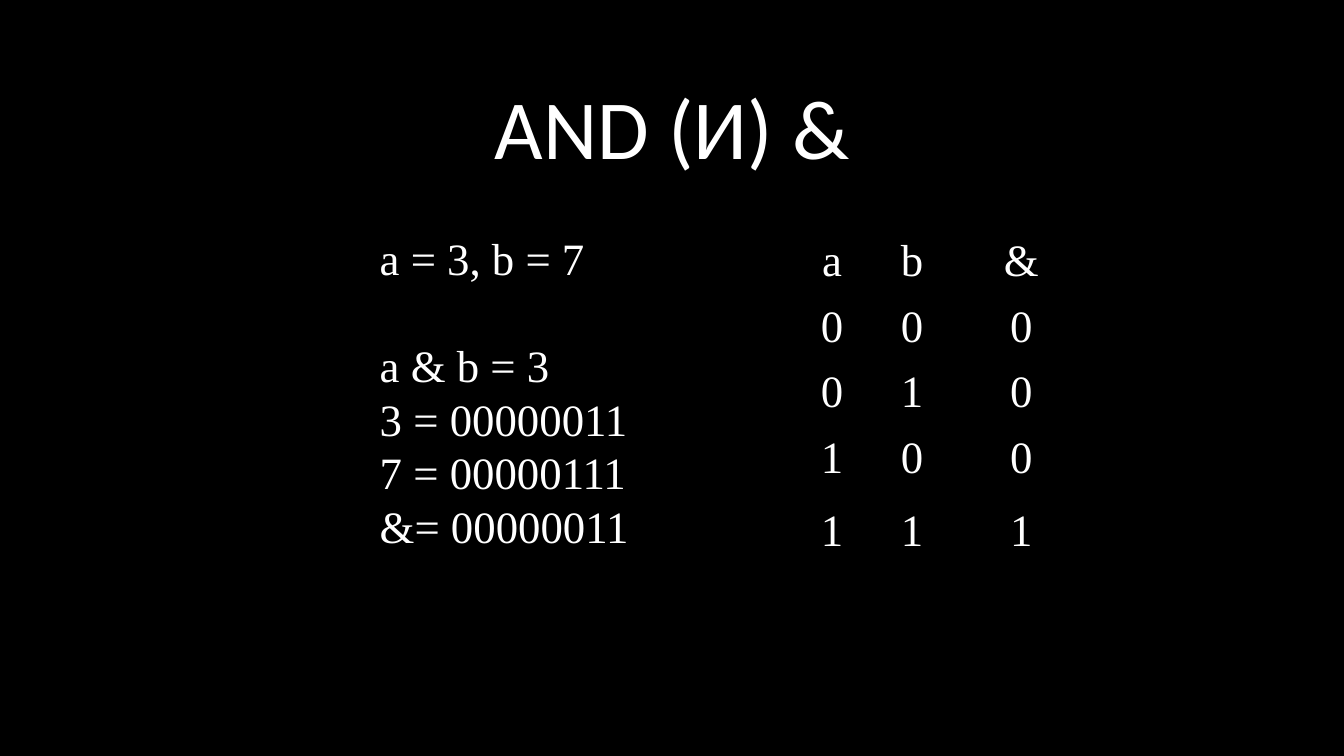
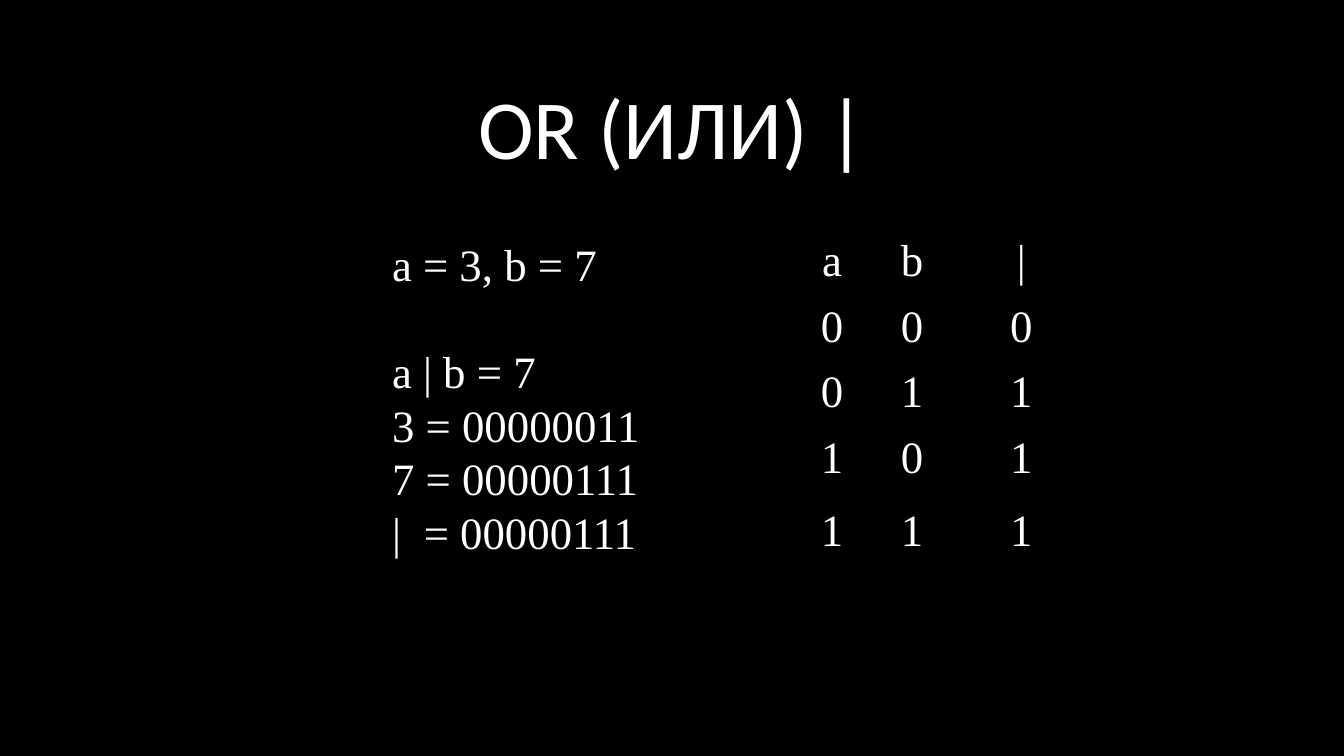
from dataclasses import dataclass

from lxml.etree import SubElement
from pptx import Presentation
from pptx.dml.color import RGBColor
from pptx.enum.text import MSO_ANCHOR, MSO_AUTO_SIZE, PP_ALIGN
from pptx.oxml import parse_xml
from pptx.oxml.ns import nsdecls, qn
from pptx.util import Cm, Pt

OPERATIONS = [
    {
        "title": "AND (И) &",
        "values": "a = 3, b = 7",
        "working": ["a & b = 3", "3 = 00000011", "7 = 00000111", "&= 00000011"],
        "example_box": (9.32, 5.69, 7.14, 8.46),
        "truth": ["ab&", "000", "010", "100", "111"],
    },
    {
        "title": "OR (ИЛИ) |",
        "values": "a = 3, b = 7",
        "working": ["a | b = 7", "3 = 00000011", "7 = 00000111", "|\t= 00000111"],
        "example_box": (9.63, 5.84, 7.04, 8.46),
        "truth": ["ab|", "000", "011", "101", "111"],
    },
]

TITLE_BOX = (4.42, 1.37, 25.04, 3.23)
TABLE_CORNER = (20.02, 5.84)
COLUMN_WIDTHS = (1.9, 2.13, 3.38)
ROW_HEIGHTS = (1.65, 1.65, 1.65, 1.85, 1.65)
OPERATOR_TAB = Cm(0.8)


@dataclass(frozen=True)
class Theme:
    background: RGBColor = RGBColor(0, 0, 0)
    text: RGBColor = RGBColor(255, 255, 255)
    title_font: str = "Calibri"
    body_font: str = "Times New Roman"
    title_size: Pt = Pt(60)
    body_size: Pt = Pt(32)
    body_line: Pt = Pt(38.3)


THEME = Theme()


def write(paragraph, text, font=THEME.body_font, size=THEME.body_size,
          align=PP_ALIGN.LEFT, line_spacing=None, space_before=0):
    paragraph.alignment = align
    paragraph.line_spacing = line_spacing
    paragraph.space_before = space_before
    if "\t" in text:
        tabs = SubElement(paragraph._p.get_or_add_pPr(), qn("a:tabLst"))
        SubElement(tabs, qn("a:tab"), pos=str(int(OPERATOR_TAB)), algn="l")
    run = paragraph.add_run()
    run.text = text
    run.font.name = font
    run.font.size = size
    run.font.color.rgb = THEME.text


def add_title(slide, text):
    title = slide.shapes.title
    title.left, title.top, title.width, title.height = map(Cm, TITLE_BOX)
    frame = title.text_frame
    frame.auto_size = MSO_AUTO_SIZE.NONE
    frame.vertical_anchor = MSO_ANCHOR.BOTTOM
    write(frame.paragraphs[0], text, font=THEME.title_font, size=THEME.title_size,
          align=PP_ALIGN.CENTER, line_spacing=0.9)


def add_example(slide, box, values, working):
    frame = slide.shapes.add_textbox(*map(Cm, box)).text_frame
    frame.word_wrap = True
    write(frame.paragraphs[0], values, line_spacing=THEME.body_line)
    for index, line in enumerate(working):
        gap = THEME.body_line if index == 0 else 0
        write(frame.add_paragraph(), line, line_spacing=THEME.body_line, space_before=gap)


def clear_cell(cell):
    cell.fill.background()
    properties = cell._tc.get_or_add_tcPr()
    for index, side in enumerate(("lnL", "lnR", "lnT", "lnB")):
        border = parse_xml(f'<a:{side} {nsdecls("a")} w="0"><a:noFill/></a:{side}>')
        properties.insert(index, border)


def add_truth_table(slide, rows):
    size = (sum(COLUMN_WIDTHS), sum(ROW_HEIGHTS))
    table = slide.shapes.add_table(
        len(rows), len(COLUMN_WIDTHS), *map(Cm, TABLE_CORNER + size)).table
    table.first_row = table.horz_banding = False
    for column, width in zip(table.columns, COLUMN_WIDTHS):
        column.width = Cm(width)
    for row, height, symbols in zip(table.rows, ROW_HEIGHTS, rows):
        row.height = Cm(height)
        for cell, symbol in zip(row.cells, symbols):
            clear_cell(cell)
            write(cell.text_frame.paragraphs[0], symbol, align=PP_ALIGN.CENTER)


def main():
    presentation = Presentation()
    presentation.slide_width, presentation.slide_height = Cm(33.87), Cm(19.05)
    fill = presentation.slide_master.background.fill
    fill.solid()
    fill.fore_color.rgb = THEME.background
    title_only = presentation.slide_layouts.get_by_name("Title Only")
    for operation in OPERATIONS:
        slide = presentation.slides.add_slide(title_only)
        add_title(slide, operation["title"])
        add_example(slide, operation["example_box"], operation["values"], operation["working"])
        add_truth_table(slide, operation["truth"])
    presentation.save("out.pptx")


if __name__ == "__main__":
    main()
